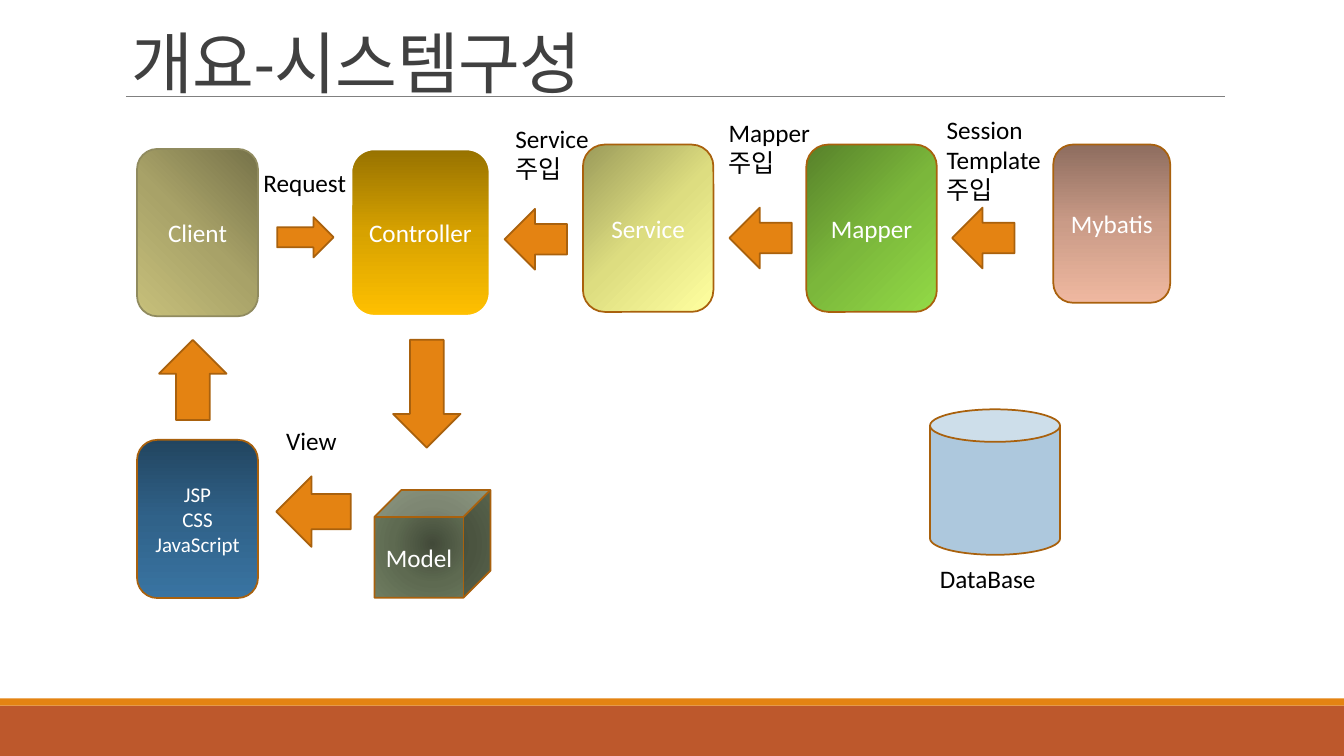
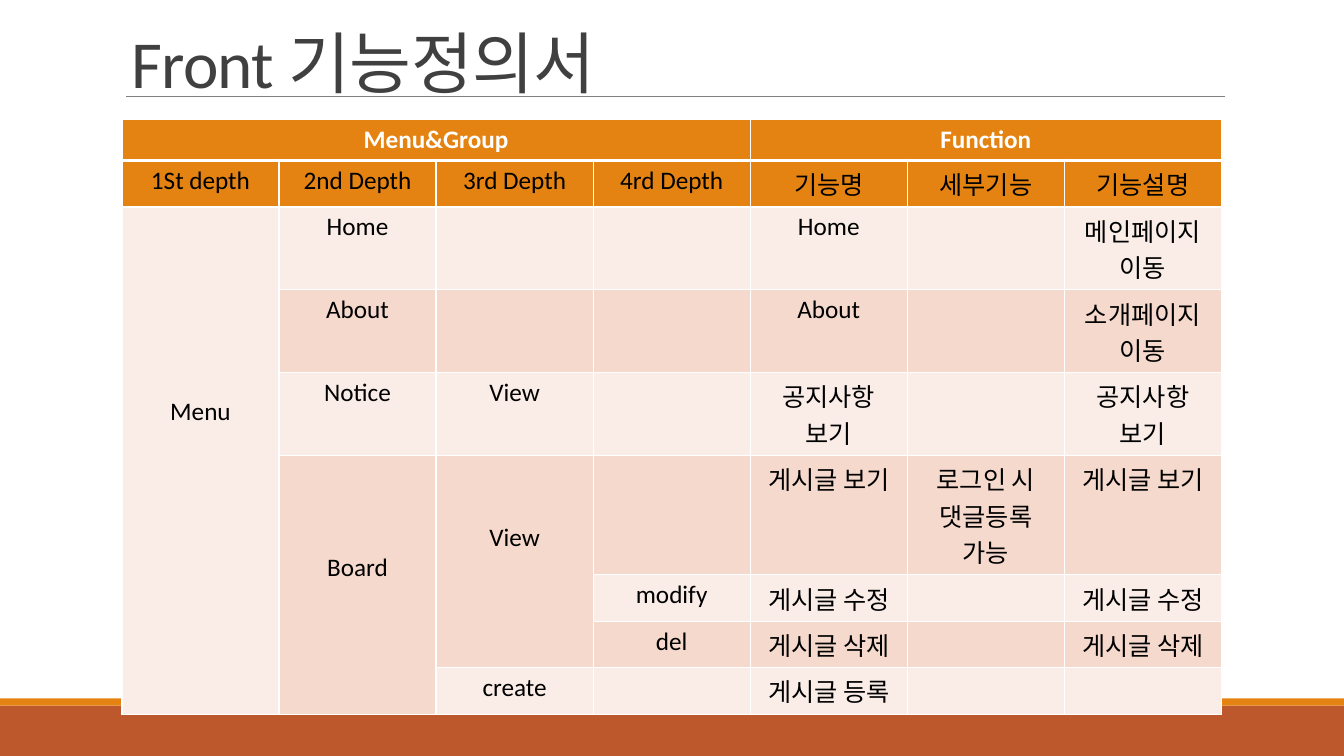
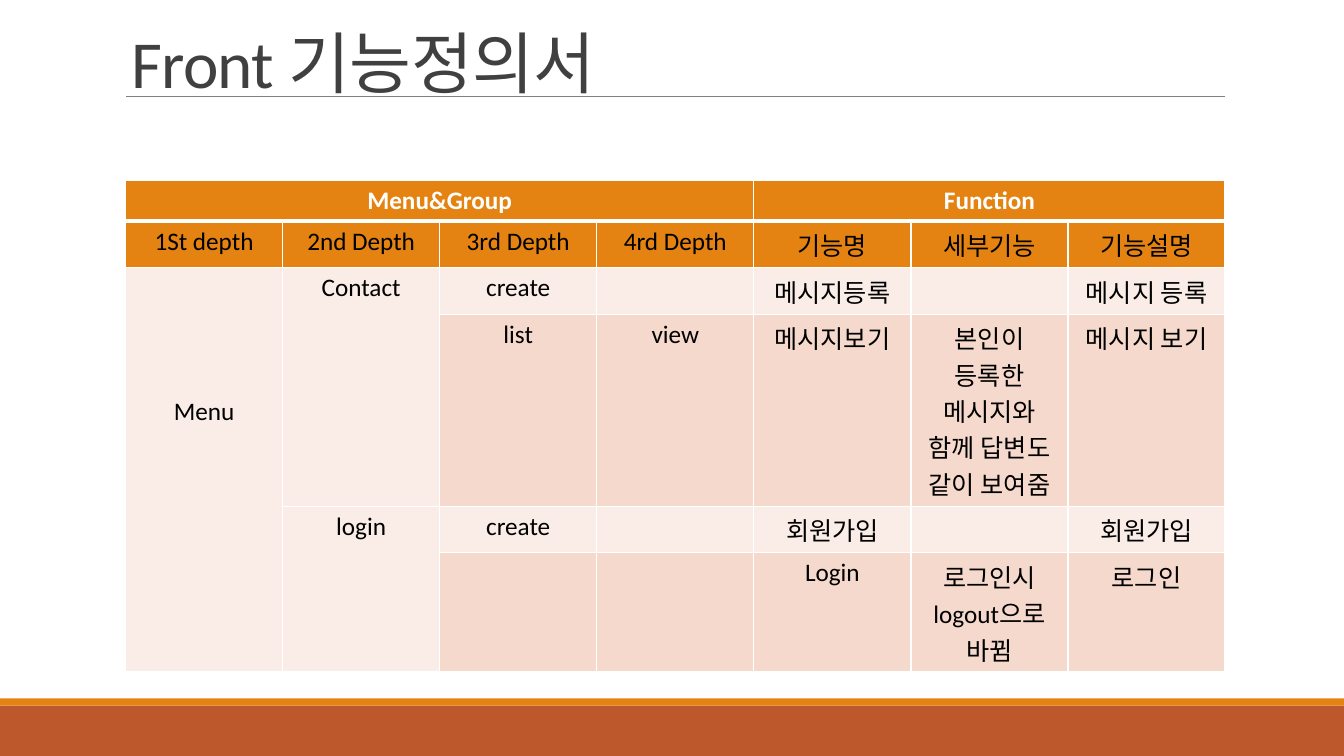
from pptx import Presentation
from pptx.dml.color import RGBColor
from pptx.enum.shapes import MSO_CONNECTOR, MSO_SHAPE as Preset
from pptx.enum.text import MSO_ANCHOR as Anchor, MSO_AUTO_SIZE as AutoSize, PP_ALIGN as Align
from pptx.oxml import parse_xml
from pptx.oxml.ns import nsdecls, qn
from pptx.util import Pt

# Shared look
WHITE = RGBColor(0xFF, 0xFF, 0xFF)
BLACK = RGBColor(0x00, 0x00, 0x00)
TITLE_GRAY = RGBColor(0x40, 0x40, 0x40)
RULE_GRAY = RGBColor(0x80, 0x80, 0x80)
ORANGE = RGBColor(0xE4, 0x83, 0x12)
RUST = RGBColor(0xBD, 0x58, 0x2C)
BROWN = RGBColor(0xA9, 0x61, 0x0D)
OLIVE = RGBColor(0x90, 0x8B, 0x5F)
PALE_BLUE = RGBColor(0xAD, 0xC8, 0xDD)
ROW_TINTS = (RGBColor(0xFA, 0xED, 0xE7), RGBColor(0xF5, 0xD9, 0xCC))
FONT, KOREAN_FONT = "Calibri", "Noto Sans"
BODY_SIZE = 18

# System diagram: text, preset, box, gradient stops, angle (None is radial), outline, width, size
NODES = [
    ("Client", Preset.ROUNDED_RECTANGLE, (97.9, 106.4, 86.4, 119.5),
     ("767249", "A8A268", "C7C07B"), 135, OLIVE, 1.25, 18),
    ("Controller", Preset.ROUNDED_RECTANGLE, (250.6, 106.4, 99.4, 119.5),
     ("977200", "D7A200", "FFC000"), 90, WHITE, 2, 18),
    ("Service", Preset.ROUNDED_RECTANGLE, (416.4, 103.3, 93.2, 119.5),
     ("9B9B5A", "DDDD80", "FFFFA0"), 45, BROWN, 1.25, 18),
    ("Mapper", Preset.ROUNDED_RECTANGLE, (576, 103.3, 93.2, 119.5),
     ("57812A", "7BB73B", "92DA46"), 45, BROWN, 1.25, 18),
    ("Mybatis", Preset.ROUNDED_RECTANGLE, (752.4, 103.3, 83.5, 113),
     ("8E6D5F", "CA9B87", "EFB8A0"), 90, BROWN, 1.25, 18),
    ("Model", Preset.CUBE, (267.5, 350, 82.8, 77),
     ("424A39", "5E6A51", "6F7D61"), None, BROWN, 1.25, 18),
    ("JSP\nCSS\nJavaScript", Preset.ROUNDED_RECTANGLE, (97.9, 314.2, 86.4, 113),
     ("224560", "306289", "3974A2"), 90, BROWN, 1.25, 15),
]
# Arrows: preset, box, rotation
ARROWS = [
    (Preset.RIGHT_ARROW, (198, 155.1, 40.3, 28.8), 0),
    (Preset.DOWN_ARROW, (280.8, 242.8, 48.2, 77), 0),
    (Preset.RIGHT_ARROW, (197.3, 340.2, 53.3, 50.4), 180),
    (Preset.DOWN_ARROW, (113.6, 242.8, 48.2, 57.2), 180),
    (Preset.RIGHT_ARROW, (360.4, 149.2, 44.6, 43.4), 180),
    (Preset.RIGHT_ARROW, (521, 148.3, 44.6, 43.4), 180),
    (Preset.RIGHT_ARROW, (680.1, 148.3, 44.6, 43.4), 180),
]
DATABASE_BOX = (664.3, 292.4, 92.9, 103.9)
INJECTION = "주입"
LABELS = [
    ("Request", (181, 116.2, 78.5, 29)),
    ("View", (197.3, 300.2, 53.3, 29)),
    (f"Mapper\n{INJECTION}", (513.4, 79.9, 77, 51)),
    (f"Service\n{INJECTION}", (361, 84.2, 69.1, 51)),
    (f"Session Template\n{INJECTION}", (669.1, 77.8, 83.5, 72.7)),
    ("DataBase", (664.3, 398.9, 129.6, 29)),
]

# Function tables
HEADER_ROWS = [
    ("Menu&Group", "", "", "", "Function", "", ""),
    ("1St depth", "2nd Depth", "3rd Depth", "4rd Depth", "기능명", "세부기능", "기능설명"),
]
HEADER_SPANS = {(0, 0): (1, 4), (0, 4): (1, 3)}
COLUMN_WIDTH, TOP_ROW_HEIGHT = 112.2, 29.2
LINE_HEIGHT, KOREAN_LINE_HEIGHT, CELL_MARGIN = 22, 26, 3.6

# Lines count the text lines of each body row, spans map (row, column) to
# (rows, columns), drops give the text lines left free above
TABLES = [
    {
        "at": (87.1, 85.4),
        "rows": [
            ("Menu", "Home", "", "", "Home", "", "메인페이지이동"),
            ("", "About", "", "", "About", "", "소개페이지 이동"),
            ("", "Notice", "View", "", "공지사항\n보기", "", "공지사항\n보기"),
            ("", "Board", "View", "", "게시글 보기", "로그인 시 댓글등록\n가능", "게시글 보기"),
            ("", "", "", "modify", "게시글 수정", "", "게시글 수정"),
            ("", "", "", "del", "게시글 삭제", "", "게시글 삭제"),
            ("", "", "create", "", "게시글 등록", "", ""),
        ],
        "lines": [2, 2, 2, 3, 1, 1, 1],
        "spans": {(2, 0): (7, 1), (5, 1): (4, 1), (5, 2): (3, 1)},
        "drops": {(2, 0): 6, (5, 1): 3, (5, 2): 2},
    },
    {
        "at": (89.7, 128.9),
        "rows": [
            ("Menu", "Contact", "create", "", "메시지등록", "", "메시지 등록"),
            ("", "", "list", "view", "메시지보기",
             "본인이 등록한 메시지와 함께 답변도 같이 보여줌", "메시지 보기"),
            ("", "login", "create", "", "회원가입", "", "회원가입"),
            ("", "", "", "", "Login", "로그인시 logout으로 바뀜", "로그인"),
        ],
        "lines": [1, 5, 1, 3],
        "spans": {(2, 0): (4, 1), (2, 1): (2, 1), (4, 1): (2, 1)},
        "drops": {(2, 0): 4},
    },
]


def points(values):
    return [Pt(value) for value in values]


def write(frame, text, size, color, align=Align.LEFT, bold=False):
    frame.text = text
    for para in frame.paragraphs:
        para.alignment = align
        font = para.font
        font.name = KOREAN_FONT if para.text == INJECTION else FONT
        font.size, font.bold = Pt(size), bold
        font.color.rgb = color


def add_box(page, preset, box, fill=None, outline=None, width=1.25):
    shape = page.shapes.add_shape(preset, *points(box))
    shape.shadow.inherit = False
    if fill is not None:
        shape.fill.solid()
        shape.fill.fore_color.rgb = fill
    if outline is None:
        shape.line.fill.background()
    else:
        shape.line.color.rgb = outline
        shape.line.width = Pt(width)
    return shape


def add_gradient(shape, colors, angle):
    stops = "".join(f'<a:gs pos="{index * 50000}"><a:srgbClr val="{color}"/></a:gs>'
                    for index, color in enumerate(colors))
    if angle is None:
        course = ('<a:path path="circle"><a:fillToRect l="50000" t="50000" '
                  'r="50000" b="50000"/></a:path>')
    else:
        course = f'<a:lin ang="{angle * 60000}" scaled="0"/>'
    gradient = parse_xml(f'<a:gradFill {nsdecls("a")} rotWithShape="1">'
                         f'<a:gsLst>{stops}</a:gsLst>{course}</a:gradFill>')
    shape.element.spPr.find(qn("a:prstGeom")).addnext(gradient)


def add_page(deck, title):
    page = deck.slides.add_slide(deck.slide_layouts[6])
    # Footer bands
    add_box(page, Preset.RECTANGLE, (0, 504, 960, 36), RUST)
    add_box(page, Preset.RECTANGLE, (0, 498.8, 960, 5.2), ORANGE)
    # Title rule
    rule = page.shapes.add_connector(MSO_CONNECTOR.STRAIGHT, *points((90, 69.1, 874.8, 69.1)))
    rule.line.color.rgb = RULE_GRAY
    rule.line.width = Pt(0.5)
    rule.element.spPr.append(parse_xml(f'<a:effectLst {nsdecls("a")}/>'))
    # Title
    frame = page.shapes.add_textbox(*points((86.8, 0.8, 792, 75.6))).text_frame
    frame.word_wrap = True
    frame.vertical_anchor = Anchor.BOTTOM
    write(frame, title, 48, TITLE_GRAY)
    para = frame.paragraphs[0]
    para.line_spacing = 0.85
    para.runs[0]._r.get_or_add_rPr().set("spc", "-50")
    return page


def add_diagram(page):
    for text, preset, box, colors, angle, outline, width, size in NODES:
        node = add_box(page, preset, box, outline=outline, width=width)
        add_gradient(node, colors, angle)
        node.text_frame.vertical_anchor = Anchor.MIDDLE
        write(node.text_frame, text, size, WHITE, Align.CENTER)
    for preset, box, rotation in ARROWS:
        add_box(page, preset, box, ORANGE, BROWN).rotation = rotation
    add_box(page, Preset.CAN, DATABASE_BOX, PALE_BLUE, BROWN)
    for text, box in LABELS:
        frame = page.shapes.add_textbox(*points(box)).text_frame
        frame.word_wrap = True
        frame.auto_size = AutoSize.SHAPE_TO_FIT_TEXT
        write(frame, text, BODY_SIZE, BLACK)


def add_borders(cell, row):
    widths = {"lnL": 1, "lnR": 1, "lnT": 3 if row == 1 else 1, "lnB": 3 if row == 0 else 1}
    properties = cell._tc.get_or_add_tcPr()
    for index, (side, width) in enumerate(widths.items()):
        properties.insert(index, parse_xml(
            f'<a:{side} {nsdecls("a")} w="{Pt(width)}"><a:solidFill>'
            f'<a:srgbClr val="{WHITE}"/></a:solidFill></a:{side}>'))


def add_function_table(page, content):
    rows = HEADER_ROWS + content["rows"]
    heights = [TOP_ROW_HEIGHT] + [2 * CELL_MARGIN + lines * KOREAN_LINE_HEIGHT
                                  for lines in [1] + content["lines"]]
    columns = len(rows[0])
    size = (columns * COLUMN_WIDTH, sum(heights))
    table = page.shapes.add_table(len(rows), columns, *points(content["at"] + size)).table
    table.first_row = table.horz_banding = False
    for column in table.columns:
        column.width = Pt(COLUMN_WIDTH)
    for row, height in zip(table.rows, heights):
        row.height = Pt(height)
    for (row, column), (height, width) in {**HEADER_SPANS, **content["spans"]}.items():
        table.cell(row, column).merge(table.cell(row + height - 1, column + width - 1))
    for row, texts in enumerate(rows):
        for column, text in enumerate(texts):
            cell = table.cell(row, column)
            cell.fill.solid()
            cell.fill.fore_color.rgb = ORANGE if row < len(HEADER_ROWS) else ROW_TINTS[row % 2]
            add_borders(cell, row)
            write(cell.text_frame, text, BODY_SIZE, WHITE if row == 0 else BLACK,
                  Align.CENTER, bold=row == 0)
            drop = content["drops"].get((row, column), 0)
            cell.margin_top = Pt(CELL_MARGIN + drop * LINE_HEIGHT)


def main():
    deck = Presentation()
    deck.slide_width, deck.slide_height = Pt(960), Pt(540)
    add_diagram(add_page(deck, "개요-시스템구성"))
    for content in TABLES:
        add_function_table(add_page(deck, "Front 기능정의서"), content)
    deck.save("out.pptx")


if __name__ == "__main__":
    main()
